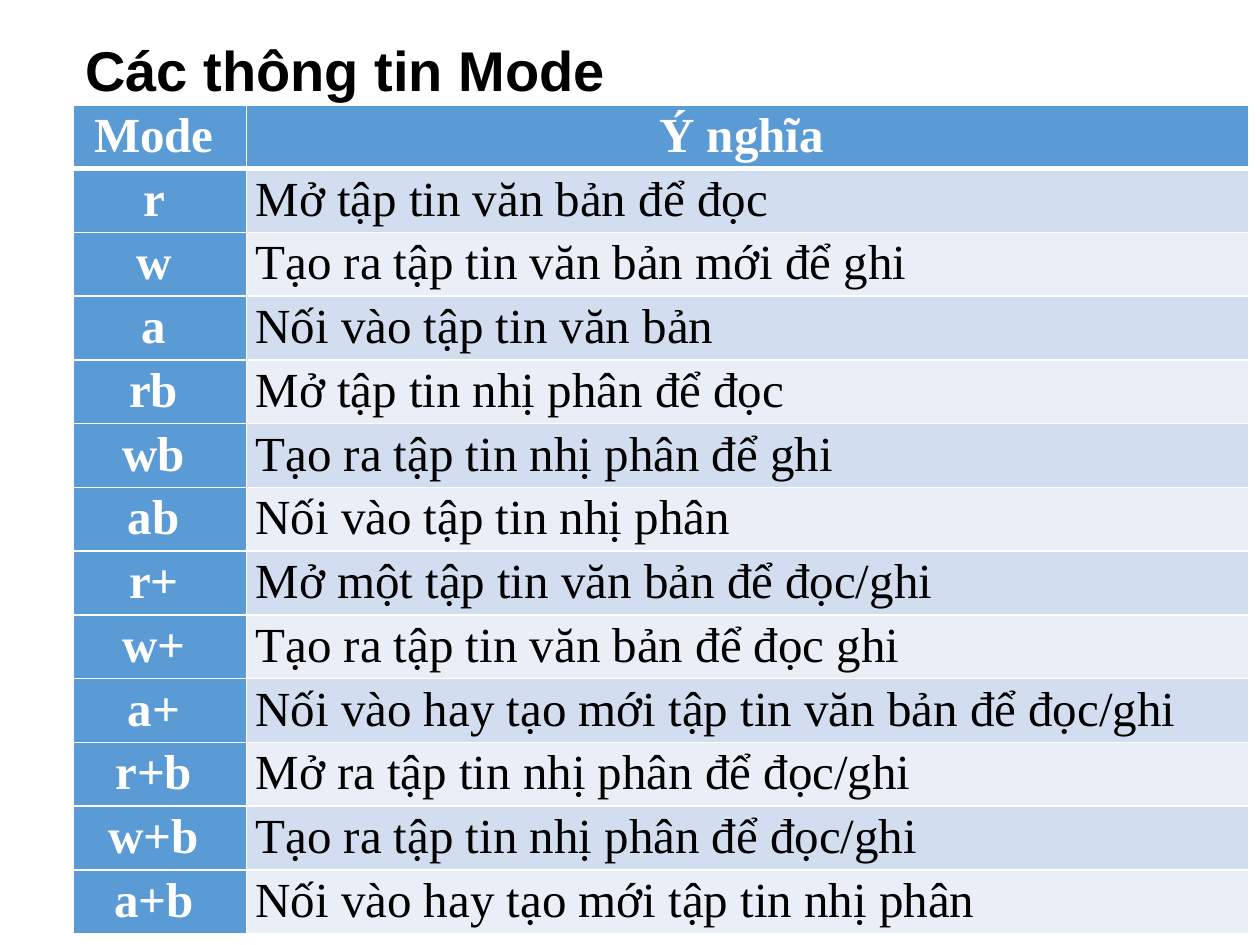
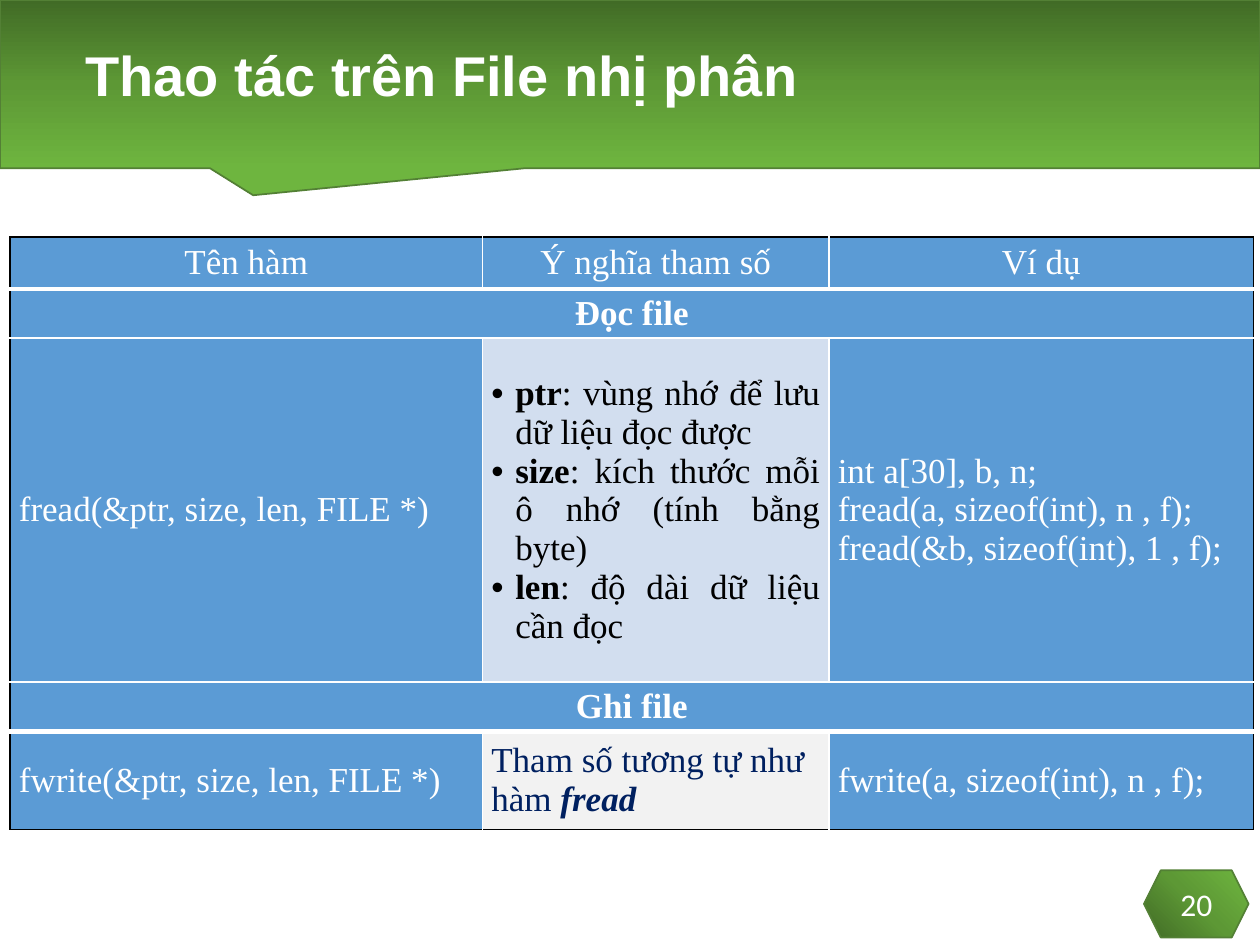
from collections import namedtuple

from lxml import etree
from pptx import Presentation
from pptx.dml.color import RGBColor
from pptx.enum.shapes import MSO_SHAPE
from pptx.enum.text import MSO_ANCHOR, PP_ALIGN
from pptx.oxml import parse_xml
from pptx.oxml.ns import nsdecls, qn
from pptx.util import Inches, Pt

CALLOUT, HEXAGON = MSO_SHAPE.RECTANGULAR_CALLOUT, MSO_SHAPE.HEXAGON
TOP, MIDDLE = MSO_ANCHOR.TOP, MSO_ANCHOR.MIDDLE
LEFT, CENTER, JUSTIFY = PP_ALIGN.LEFT, PP_ALIGN.CENTER, PP_ALIGN.JUSTIFY

WHITE = RGBColor(0xFF, 0xFF, 0xFF)
BLACK = RGBColor(0x00, 0x00, 0x00)
NAVY = RGBColor(0x00, 0x20, 0x60)
BLUE = RGBColor(0x5B, 0x9B, 0xD5)
BAND_DARK = RGBColor(0xD2, 0xDE, 0xEF)
BAND_LIGHT = RGBColor(0xEA, 0xEF, 0xF7)
GREY = RGBColor(0xF2, 0xF2, 0xF2)
GREEN_LINE = RGBColor(0x53, 0x80, 0x35)
GREEN_STOPS = [(0, RGBColor(0x41, 0x6B, 0x26)),
               (50, RGBColor(0x5D, 0x98, 0x35)),
               (100, RGBColor(0x6E, 0xB5, 0x3F))]
DOWNWARD = '<a:lin ang="5400000" scaled="0"/>'
FROM_CORNER = '<a:path path="circle"><a:fillToRect t="100000" r="100000"/></a:path>'

TITLE_FONT, TABLE_FONT, NUMBER_FONT = "Arial", "Times New Roman", "Calibri"

Box = namedtuple("Box", "x y w h")
SLIDE = Box(0, 0, 10, 7.5)

MODES = [
    ("r", "Mở tập tin văn bản để đọc"),
    ("w", "Tạo ra tập tin văn bản mới để ghi"),
    ("a", "Nối vào tập tin văn bản"),
    ("rb", "Mở tập tin nhị phân để đọc"),
    ("wb", "Tạo ra tập tin nhị phân để ghi"),
    ("ab", "Nối vào tập tin nhị phân"),
    ("r+", "Mở một tập tin văn bản để đọc/ghi"),
    ("w+", "Tạo ra tập tin văn bản để đọc ghi"),
    ("a+", "Nối vào hay tạo mới tập tin văn bản để đọc/ghi"),
    ("r+b", "Mở ra tập tin nhị phân để đọc/ghi"),
    ("w+b", "Tạo ra tập tin nhị phân để đọc/ghi"),
    ("a+b", "Nối vào hay tạo mới tập tin nhị phân"),
]

# Each paragraph is a list of (text, style) runs; style letters are b and i
FREAD_PARAMETERS = [
    [("ptr", "b"), (": vùng nhớ để lưu dữ liệu đọc được", "")],
    [("size", "b"), (": kích thước mỗi ô nhớ (tính bằng byte)", "")],
    [("len", "b"), (": độ dài dữ liệu cần đọc", "")],
]
FREAD_EXAMPLE = ["int a[30], b, n;", "fread(a, sizeof(int), n , f);",
                 "fread(&b, sizeof(int), 1 , f);"]
FWRITE_PARAMETERS = [[("Tham số tương tự như hàm ", ""), ("fread", "bi")]]


def part(box, x, y, w, h):
    """Return the part of a box given by shares of its size."""
    return Box(box.x + x * box.w, box.y + y * box.h, w * box.w, h * box.h)


def emu(box):
    return [Inches(v) for v in box]


def plain(*lines, style=""):
    return [[(line, style)] for line in lines]


def write(tf, paragraphs, font, size, color, align=LEFT, spacing=None, bullet=False):
    for i, runs in enumerate(paragraphs):
        p = tf.paragraphs[0] if i == 0 else tf.add_paragraph()
        p.alignment = align
        if spacing:
            p.line_spacing = spacing
        if bullet:
            add_bullet(p)
        for text, style in runs:
            r = p.add_run()
            r.text = text
            r.font.name, r.font.size = font, Pt(size)
            r.font.bold, r.font.italic = "b" in style, "i" in style
            r.font.color.rgb = color


def add_bullet(p):
    pPr = p._p.get_or_add_pPr()
    indent = Inches(0.19)
    pPr.set("marL", str(indent))
    pPr.set("indent", str(-indent))
    etree.SubElement(pPr, qn("a:buFont")).set("typeface", "Arial")
    etree.SubElement(pPr, qn("a:buChar")).set("char", "•")


# Shared slide parts
def add_title(slide, box, text, color):
    tf = slide.shapes.add_textbox(*emu(box)).text_frame
    tf.word_wrap = True
    tf.vertical_anchor = MIDDLE
    write(tf, plain(text, style="b"), TITLE_FONT, 32, color, spacing=0.9)


def add_green_shape(slide, kind, box, direction):
    s = slide.shapes.add_shape(kind, *emu(box))
    s.shadow.inherit = False
    s.fill.gradient()
    stops = "".join(f'<a:gs pos="{pos * 1000}"><a:srgbClr val="{color}"/></a:gs>'
                    for pos, color in GREEN_STOPS)
    old = s._element.spPr.find(qn("a:gradFill"))
    s._element.spPr.replace(old, parse_xml(
        f'<a:gradFill {nsdecls("a")} rotWithShape="1">'
        f'<a:gsLst>{stops}</a:gsLst>{direction}</a:gradFill>'))
    s.line.color.rgb = GREEN_LINE
    s.line.width = Pt(1)
    return s


def add_banner(slide, box):
    banner = add_green_shape(slide, CALLOUT, box, DOWNWARD)
    banner.adjustments[0], banner.adjustments[1] = -0.299, 0.661


def add_page_number(slide, box, number):
    tf = add_green_shape(slide, HEXAGON, box, FROM_CORNER).text_frame
    tf.vertical_anchor = MIDDLE
    tf.margin_left = tf.margin_right = 0
    write(tf, plain(str(number)), NUMBER_FONT, 18, WHITE, CENTER)


# Tables
def add_grid(slide, box, columns, rows):
    """Add a table whose columns and rows share the box by weight."""
    table = slide.shapes.add_table(len(rows), len(columns), *emu(box)).table
    table.first_row = table.horz_banding = False
    for column, weight in zip(table.columns, columns):
        column.width = Inches(box.w * weight / sum(columns))
    for row, weight in zip(table.rows, rows):
        row.height = Inches(box.h * weight / sum(rows))
    return table


def fill_cell(cell, paragraphs, fill, anchor, margin=0.07, **text):
    cell.margin_left = cell.margin_right = Inches(margin)
    cell.margin_top = cell.margin_bottom = 0
    cell.vertical_anchor = anchor
    cell.fill.solid()
    cell.fill.fore_color.rgb = fill
    write(cell.text_frame, paragraphs, TABLE_FONT, **text)


def rule_table(table, outer, thick_below):
    """Draw white inner rules, outer edges, and thick rules below some rows."""
    last_row, last_column = len(table.rows) - 1, len(table.columns) - 1
    for i in range(last_row + 1):
        for j in range(last_column + 1):
            cell = table.cell(i, j)
            right = j + cell.span_width - 1 if cell.is_merge_origin else j
            edges = [("L", j == 0, False), ("R", right == last_column, False),
                     ("T", i == 0, i - 1 in thick_below),
                     ("B", i == last_row, i in thick_below)]
            tcPr = cell._tc.get_or_add_tcPr()
            for k, (side, is_outer, is_thick) in enumerate(edges):
                color = outer if is_outer else WHITE
                tcPr.insert(k, parse_xml(
                    f'<a:ln{side} {nsdecls("a")} w="{Pt(3 if is_thick else 1)}">'
                    f'<a:solidFill><a:srgbClr val="{color}"/></a:solidFill>'
                    f'</a:ln{side}>'))


def add_mode_table(slide, box):
    table = add_grid(slide, box, [1.38, 7.96], [1] * (len(MODES) + 1))
    text = dict(size=28, spacing=1.07)
    for i, (mode, meaning) in enumerate([("Mode", "Ý nghĩa ")] + MODES):
        fill_cell(table.cell(i, 0), plain(mode + " ", style="b"), BLUE, TOP,
                  color=WHITE, align=CENTER, **text)
        if i == 0:
            fill_cell(table.cell(i, 1), plain(meaning, style="b"), BLUE, TOP,
                      color=WHITE, align=CENTER, **text)
        else:
            fill_cell(table.cell(i, 1), plain(meaning),
                      BAND_DARK if i % 2 else BAND_LIGHT, TOP, color=BLACK, **text)
    rule_table(table, WHITE, {0})


def add_function_table(slide, box):
    table = add_grid(slide, box, [3.75, 2.75, 3.37], [0.41, 0.39, 2.73, 0.39, 0.78])

    def put(i, j, paragraphs, fill=BLUE, color=WHITE, **text):
        fill_cell(table.cell(i, j), paragraphs, fill, MIDDLE, size=20, color=color, **text)

    # Header and section rows
    for j, heading in enumerate(["Tên hàm", "Ý nghĩa tham số", "Ví dụ"]):
        put(0, j, plain(heading), align=CENTER)
    for i, section in [(1, "Đọc file"), (3, "Ghi file")]:
        table.cell(i, 0).merge(table.cell(i, 2))
        put(i, 0, plain(section, style="b"), align=CENTER, margin=0.04)

    # Function rows
    put(2, 0, plain("fread(&ptr, size, len, FILE *)"))
    put(2, 1, FREAD_PARAMETERS, BAND_DARK, BLACK, align=JUSTIFY, bullet=True)
    put(2, 2, plain(*FREAD_EXAMPLE))
    put(4, 0, plain("fwrite(&ptr, size, len, FILE *)"))
    put(4, 1, FWRITE_PARAMETERS, GREY, NAVY)
    put(4, 2, plain("fwrite(a, sizeof(int), n , f);"))
    rule_table(table, BLACK, {0, 3})


# Slides
def build_mode_slide(slide, box):
    add_title(slide, part(box, 0.058, 0.011, 0.883, 0.133), "Các thông tin Mode", BLACK)
    add_mode_table(slide, part(box, 0.058, 0.111, 0.933, 0.877))


def build_binary_slide(slide, box):
    add_banner(slide, part(box, 0, 0, 1, 0.178))
    add_page_number(slide, part(box, 0.908, 0.921, 0.083, 0.071), 20)
    add_title(slide, part(box, 0.058, 0.011, 0.883, 0.144),
              "Thao tác trên File nhị phân", WHITE)
    add_function_table(slide, part(box, 0.008, 0.251, 0.987, 0.627))


def main():
    prs = Presentation()
    prs.slide_width, prs.slide_height = Inches(SLIDE.w), Inches(SLIDE.h)
    blank = prs.slide_layouts[6]
    for build in (build_mode_slide, build_binary_slide):
        build(prs.slides.add_slide(blank), SLIDE)
    prs.save("out.pptx")


if __name__ == "__main__":
    main()
